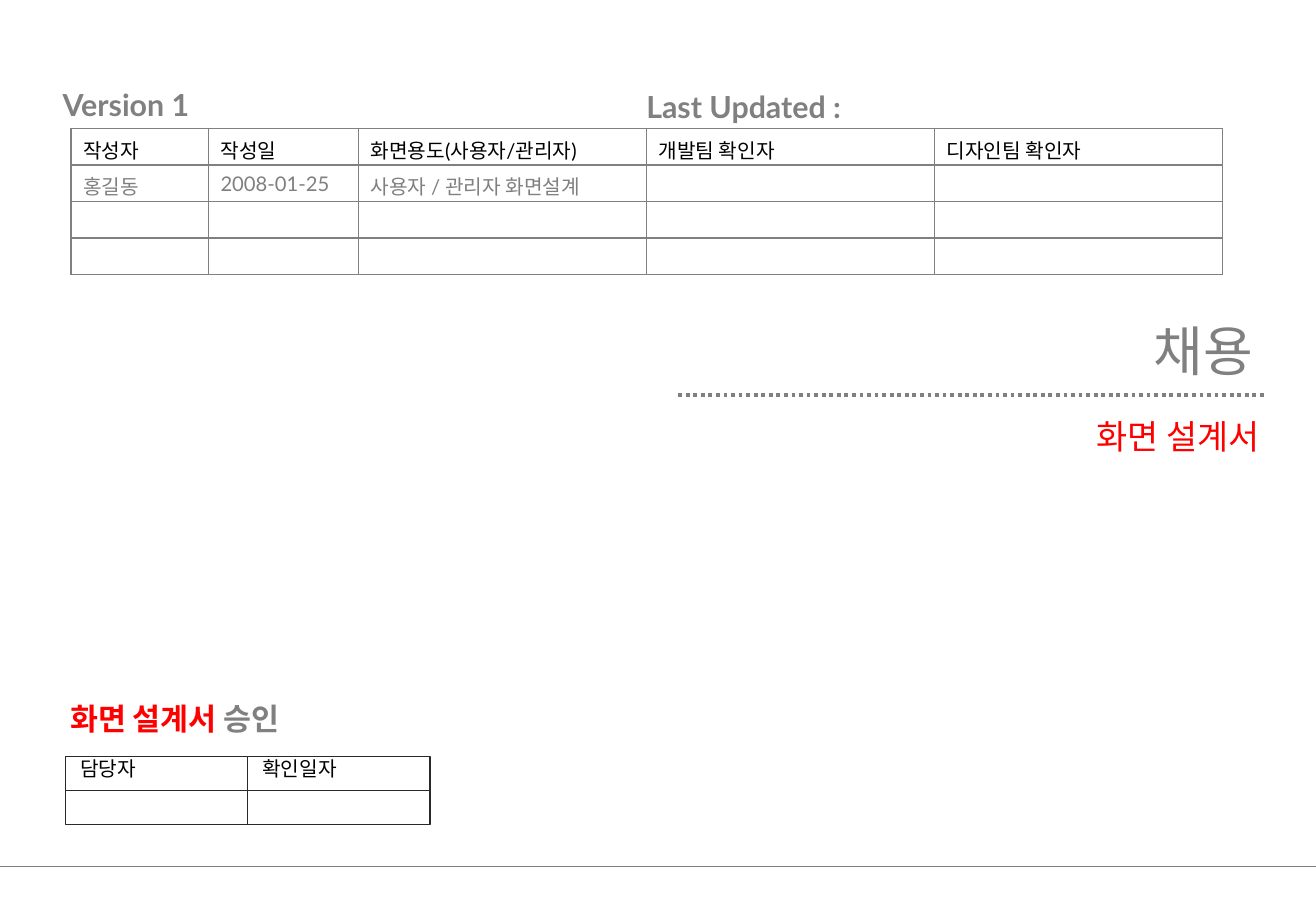
from dataclasses import dataclass
from itertools import product

from lxml.etree import SubElement
from pptx import Presentation
from pptx.dml.color import RGBColor
from pptx.enum.dml import MSO_LINE
from pptx.enum.shapes import MSO_CONNECTOR, MSO_SHAPE
from pptx.enum.text import MSO_ANCHOR, MSO_AUTO_SIZE, PP_ALIGN
from pptx.oxml.ns import qn
from pptx.util import Pt


@dataclass(frozen=True)
class Theme:
    gray: str = "808080"
    red: str = "FF0000"
    black: str = "000000"
    dark: str = "292929"
    latin: str = "Lato"
    korean: str = "Noto Sans CJK KR"
    title: int = 32
    subtitle: int = 20
    heading: int = 18
    cell: int = 12


theme = Theme()


def style_paragraph(paragraph, size, color, font=theme.latin, bold=False):
    paragraph.space_before = Pt(0)
    paragraph.font.size = Pt(size)
    paragraph.font.bold = bold
    paragraph.font.name = font
    paragraph.font.color.rgb = RGBColor.from_string(color)
    properties = paragraph._p.pPr.find(qn("a:defRPr"))
    SubElement(properties, qn("a:ea"), typeface=theme.korean)


presentation = Presentation()
presentation.slide_width, presentation.slide_height = Pt(780), Pt(540)
slide = presentation.slides.add_slide(presentation.slide_layouts[0])

# Rules: footer and title underline
for left, right, y, width, dash in (
    (0, 780, 513.8, 0.75, MSO_LINE.SOLID),
    (402, 750, 234, 2.25, MSO_LINE.ROUND_DOT),
):
    rule = slide.shapes.add_connector(MSO_CONNECTOR.STRAIGHT, Pt(left), Pt(y),
                                      Pt(right), Pt(y))
    rule.line.color.rgb = RGBColor.from_string(theme.gray)
    rule.line.width = Pt(width)
    rule.line.dash_style = dash
    SubElement(rule._element.spPr, qn("a:effectLst"))

# Title and subtitle
title, subtitle = slide.placeholders
for placeholder, text, box, size, color, spacing in (
    (title, "채용", (56, 188, 694, 34.5), theme.title, theme.gray, 1),
    (subtitle, "화면 설계서", (303, 239, 451, 62.5), theme.subtitle, theme.red, 1.3),
):
    placeholder.left, placeholder.top, placeholder.width, placeholder.height = map(Pt, box)
    frame = placeholder.text_frame
    frame.text = text
    frame.auto_size = MSO_AUTO_SIZE.NONE
    frame.vertical_anchor = MSO_ANCHOR.TOP
    frame.margin_top = frame.margin_bottom = Pt(0)
    paragraph = frame.paragraphs[0]
    paragraph.alignment = PP_ALIGN.RIGHT
    paragraph.line_spacing = spacing
    style_paragraph(paragraph, size, color, theme.korean)

# Section headings
for left, top, width, parts in (
    (30, 47.5, 130, [("Version 1", theme.gray)]),
    (376, 48.5, 348, [("Last Updated :", theme.gray)]),
    (34.5, 411.5, 153, [("화면 설계서 ", theme.red), ("승인", theme.gray)]),
):
    heading = slide.shapes.add_textbox(Pt(left), Pt(top), Pt(width), Pt(29))
    heading.text_frame.word_wrap = True
    paragraph = heading.text_frame.paragraphs[0]
    style_paragraph(paragraph, theme.heading, theme.gray, bold=True)
    for text, color in parts:
        run = paragraph.add_run()
        run.text = text
        run.font.color.rgb = RGBColor.from_string(color)

# Version history table
history = [
    ["작성자", "작성일", "화면용도(사용자/관리자)", "개발팀 확인자", "디자인팀 확인자"],
    ["홍길동", "2008-01-25", "사용자 / 관리자 화면설계", "", ""],
    [""] * 5,
    [""] * 5,
]
widths = [81.5, 89] + [170.7] * 3
row_height = 21.6
table = slide.shapes.add_table(len(history), len(widths), Pt(42), Pt(76.3),
                               Pt(sum(widths)), Pt(row_height * len(history))).table
table.first_row = table.horz_banding = False
for column, width in zip(table.columns, widths):
    column.width = Pt(width)
for index, (row, texts) in enumerate(zip(table.rows, history)):
    row.height = Pt(row_height)
    for cell, text in zip(row.cells, texts):
        cell.margin_left = cell.margin_right = Pt(7.2)
        cell.margin_top, cell.margin_bottom = Pt(3.6), Pt(0)
        cell.text = text
        paragraph = cell.text_frame.paragraphs[0]
        style_paragraph(paragraph, theme.cell, theme.gray if index else theme.black)
        if not text:
            SubElement(paragraph._p, qn("a:endParaRPr"), sz=str(theme.cell * 100))
        for side in ("lnL", "lnR", "lnT", "lnB"):
            border = SubElement(cell._tc.get_or_add_tcPr(), qn(f"a:{side}"), w=str(Pt(1)))
            fill = SubElement(border, qn("a:solidFill"))
            SubElement(fill, qn("a:srgbClr"), val=theme.gray)
        cell.fill.background()

# Approval boxes: labels above, blanks below
box_width, box_height = 108, 20.1
approval = [["담당자", "확인일자"], ["", ""]]
for row, column in product(range(2), range(2)):
    box = slide.shapes.add_shape(
        MSO_SHAPE.RECTANGLE, Pt(38.9 + column * box_width), Pt(448.5 + row * box_height),
        Pt(box_width), Pt(box_height))
    box.shadow.inherit = False
    box.fill.background()
    box.line.color.rgb = RGBColor.from_string(theme.dark)
    box.line.width = Pt(0.75)
    if approval[row][column]:
        frame = box.text_frame
        frame.text = approval[row][column]
        frame.vertical_anchor = MSO_ANCHOR.TOP
        frame.margin_left, frame.margin_top, frame.margin_bottom = Pt(8.6), Pt(0), Pt(0)
        frame.paragraphs[0].alignment = PP_ALIGN.LEFT
        style_paragraph(frame.paragraphs[0], theme.cell, theme.black, theme.korean)

presentation.save("out.pptx")
